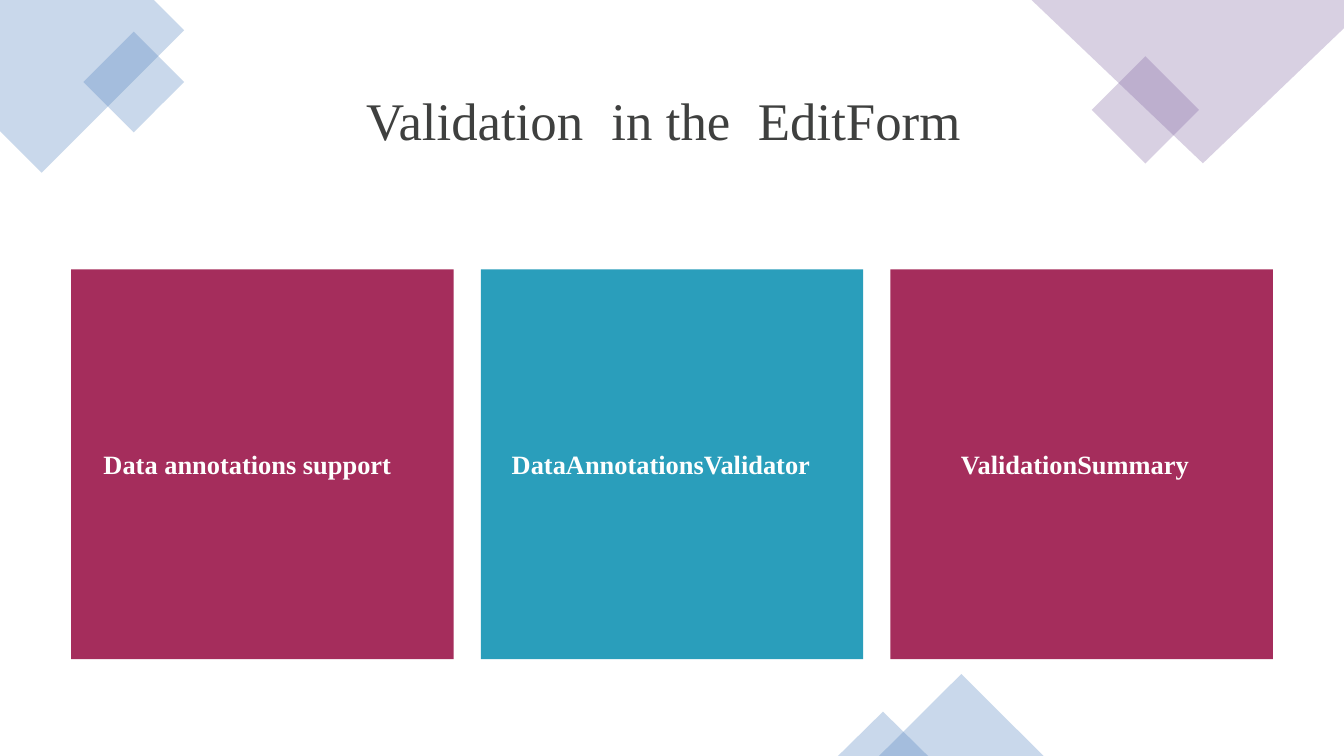
import pptx
import pptx.dml.color
import pptx.enum.shapes
import pptx.enum.text
import pptx.oxml
import pptx.oxml.ns
import pptx.util

COLUMNS, ROWS = 20, 11.25
BLUE, PURPLE = "4F81BD", "8064A2"
CRIMSON, TEAL = "A52D5C", "2A9EBB"
TITLE_COLOR, CARD_TEXT_COLOR = "3F403F", "FEFFFE"
SHAPE = pptx.enum.shapes.MSO_SHAPE


def color(hex_string):
    return pptx.dml.color.RGBColor.from_string(hex_string)


class SlideBuilder:
    """Holds the style and the current slide; lengths are grid columns and rows."""

    font_name = "Times New Roman"
    title_size = pptx.util.Pt(56.6)
    card_size = pptx.util.Pt(28.3)
    decoration_opacity = 30

    def __init__(self, presentation):
        self.cell = presentation.slide_width / COLUMNS
        self.slide = presentation.slides.add_slide(presentation.slide_layouts[6])

    def lengths(self, *values):
        return [round(value * self.cell) for value in values]

    def paint(self, shape, fill, opacity=100):
        shape.shadow.inherit = False
        shape.fill.solid()
        shape.fill.fore_color.rgb = color(fill)
        shape.line.fill.background()
        if opacity < 100:
            solid_color = shape.element.spPr.find(".//" + pptx.oxml.ns.qn("a:srgbClr"))
            alpha = pptx.oxml.parse_xml(
                f'<a:alpha {pptx.oxml.ns.nsdecls("a")} val="{opacity * 1000}"/>')
            solid_color.append(alpha)

    def preset(self, kind, box, fill, opacity=100, rotation=0):
        shape = self.slide.shapes.add_shape(kind, *self.lengths(*box))
        shape.rotation = rotation
        self.paint(shape, fill, opacity)
        return shape

    def decoration(self, kind, box, fill, rotation=0):
        return self.preset(kind, box, fill, self.decoration_opacity, rotation)

    def corner(self, points, fill):
        start, *others = [self.lengths(*point) for point in points]
        builder = self.slide.shapes.build_freeform(*start)
        builder.add_line_segments(others, close=True)
        self.paint(builder.convert_to_shape(), fill, self.decoration_opacity)

    def set_text(self, shape, text, size, fill, bold=False, left=0):
        frame = shape.text_frame
        frame.word_wrap = True
        frame.margin_left = self.lengths(left)[0]
        frame.margin_top = frame.margin_right = frame.margin_bottom = 0
        paragraph = frame.paragraphs[0]
        paragraph.text = text
        paragraph.alignment = pptx.enum.text.PP_ALIGN.LEFT
        paragraph.font.name = self.font_name
        paragraph.font.size = size
        paragraph.font.bold = bold
        paragraph.font.color.rgb = color(fill)
        return paragraph

    def title_word(self, text, left, width):
        box = self.slide.shapes.add_textbox(*self.lengths(left, 1.44, width, 0.81))
        paragraph = self.set_text(box, text, self.title_size, TITLE_COLOR, left=0.01)
        paragraph.line_spacing = pptx.util.Pt(58.6)
        paragraph.space_before = pptx.util.Pt(2.9)

    def card(self, text, box, fill, indent):
        shape = self.preset(SHAPE.RECTANGLE, box, fill)
        shape.text_frame.vertical_anchor = pptx.enum.text.MSO_ANCHOR.MIDDLE
        self.set_text(shape, text, self.card_size, CARD_TEXT_COLOR, True, indent)


def main():
    presentation = pptx.Presentation()
    presentation.slide_width = pptx.util.Inches(COLUMNS)
    presentation.slide_height = pptx.util.Inches(ROWS)
    builder = SlideBuilder(presentation)

    # Corner decorations
    builder.corner([(0, 0), (2.29, 0), (2.74, 0.45), (0.62, 2.57), (0, 1.95)], BLUE)
    builder.decoration(SHAPE.RECTANGLE, (1.46, 0.69, 1.06, 1.06), BLUE, 315)
    builder.decoration(SHAPE.RECTANGLE, (16.48, 1.07, 1.13, 1.13), PURPLE, 315)
    builder.corner([(COLUMNS, 0), (15.35, 0), (17.9, 2.43), (COLUMNS, 0.42)], PURPLE)

    # Triangles standing on the bottom edge
    for left, width, height in [(13.08, 2.45, 1.22), (12.47, 1.34, 0.66)]:
        box = (left, ROWS - height, width, height)
        builder.decoration(SHAPE.ISOSCELES_TRIANGLE, box, BLUE)

    # Title, one box per word
    for word, left, width in [("Validation", 5.44, 3.61), ("in", 9.09, 0.77),
                              ("the", 9.9, 1.32), ("EditForm", 11.27, 3.33)]:
        builder.title_word(word, left, width)

    # Three cards spread evenly between the side margins
    margin, card_width, card_height = 1.06, 5.69, 5.8
    cards = [("Data annotations support", CRIMSON, 0.48),
             ("DataAnnotationsValidator", TEAL, 0.46),
             ("ValidationSummary", CRIMSON, 1.05)]
    pitch = (COLUMNS - 2 * margin - card_width) / (len(cards) - 1)
    for index, (text, fill, indent) in enumerate(cards):
        box = (margin + index * pitch, 4.01, card_width, card_height)
        builder.card(text, box, fill, indent)

    presentation.save("out.pptx")


if __name__ == "__main__":
    main()
